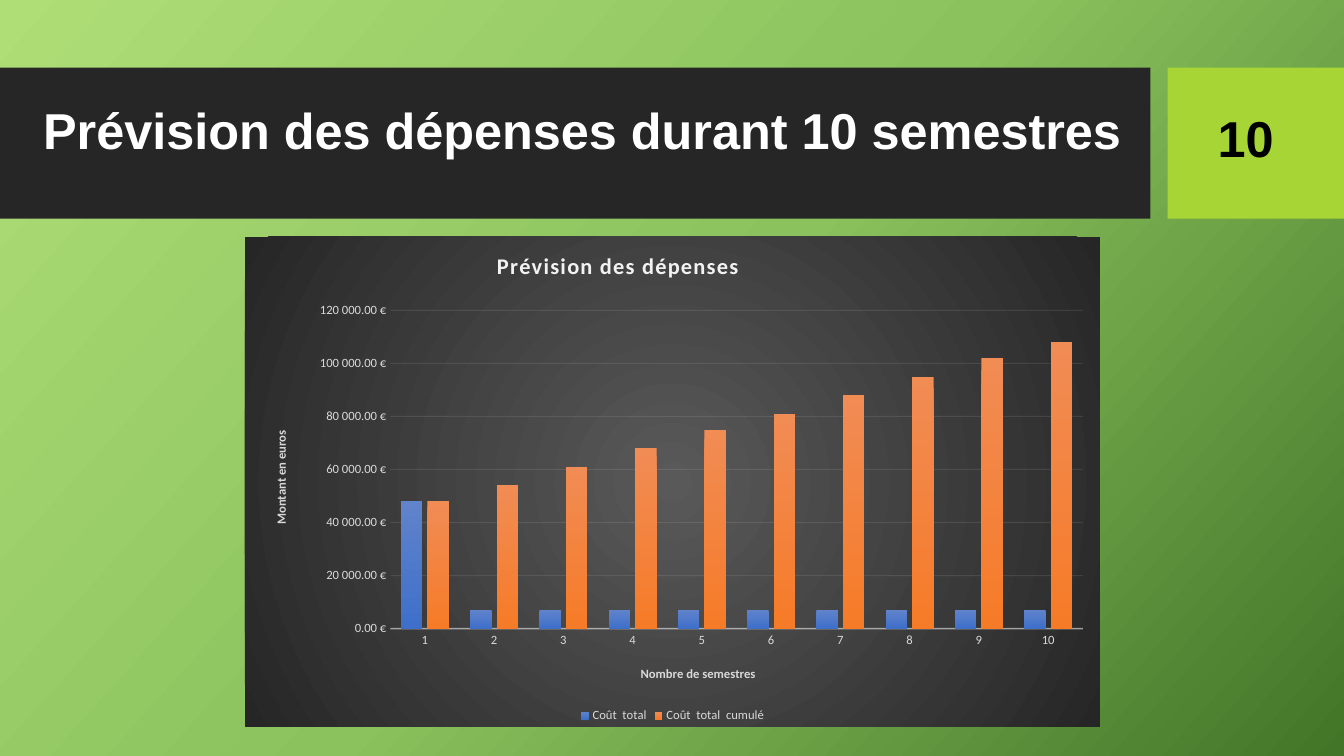
from pptx import Presentation
from pptx.chart.data import CategoryChartData
from pptx.dml.color import RGBColor
from pptx.enum.chart import XL_CHART_TYPE, XL_LEGEND_POSITION, XL_TICK_MARK
from pptx.enum.shapes import MSO_SHAPE
from pptx.enum.text import MSO_ANCHOR, PP_ALIGN
from pptx.oxml import parse_xml
from pptx.oxml.ns import nsdecls, qn
from pptx.util import Inches, Pt

DARK = RGBColor(0x26, 0x26, 0x26)
LIME = RGBColor(0xA7, 0xD5, 0x35)
WHITE = RGBColor(0xFF, 0xFF, 0xFF)
BLACK = RGBColor(0x00, 0x00, 0x00)
PALE = RGBColor(0xF2, 0xF2, 0xF2)
GREY = RGBColor(0xD9, 0xD9, 0xD9)
CHARCOAL = RGBColor(0x59, 0x59, 0x59)
GREENS = [(0, RGBColor(0xAF, 0xDE, 0x77)), (50, RGBColor(0x8B, 0xC2, 0x5D)),
          (100, RGBColor(0x43, 0x75, 0x28))]
BLUES = [(0, RGBColor(0x60, 0x83, 0xCB)), (100, RGBColor(0x3E, 0x70, 0xCA))]
ORANGES = [(0, RGBColor(0xF1, 0x8C, 0x55)), (100, RGBColor(0xF6, 0x7B, 0x28))]

COSTS = [48000] + [7000] * 9
TOTALS = [48000, 54000, 61000, 68000, 75000, 81000, 88000, 95000, 102000, 108000]


def set_gradient(props, stops, angle=None):
    """Fill a properties element: linear at angle, or circular without one."""
    for tag in ("a:noFill", "a:solidFill"):
        for old in props.findall(qn(tag)):
            props.remove(old)
    gs = "".join(f'<a:gs pos="{pos * 1000}"><a:srgbClr val="{color}"/></a:gs>'
                 for pos, color in stops)
    if angle is None:
        shade = ('<a:path path="circle"><a:fillToRect l="50000" t="50000" '
                 'r="50000" b="50000"/></a:path>')
    else:
        shade = f'<a:lin ang="{angle * 60000}" scaled="0"/>'
    props.insert(0, parse_xml(f'<a:gradFill {nsdecls("a")} rotWithShape="1">'
                              f'<a:gsLst>{gs}</a:gsLst>{shade}</a:gradFill>'))


def manual_layout(parent, x, y, w=None, h=None):
    """Place a chart part by fractions of the chart area."""
    for old in parent.findall(qn("c:layout")):
        parent.remove(old)
    target = "" if w is None else '<c:layoutTarget val="inner"/>'
    size = "" if w is None else f'<c:w val="{w}"/><c:h val="{h}"/>'
    layout = parse_xml(
        f'<c:layout {nsdecls("c")}><c:manualLayout>{target}'
        f'<c:xMode val="edge"/><c:yMode val="edge"/><c:x val="{x}"/>'
        f'<c:y val="{y}"/>{size}</c:manualLayout></c:layout>')
    tx = parent.find(qn("c:tx"))
    parent.insert(0 if tx is None else 1, layout)


class SlideBuilder:
    font = "Arial"
    chart_font = "Calibri"

    def __init__(self, prs):
        self.s = prs.slides.add_slide(prs.slide_layouts[6])

    def background(self, stops, angle):
        fill = self.s.background.fill
        fill.solid()
        set_gradient(fill._xPr, stops, angle)

    def block(self, x, y, w, h, color):
        sp = self.s.shapes.add_shape(MSO_SHAPE.RECTANGLE, Inches(x), Inches(y),
                                     Inches(w), Inches(h))
        sp.shadow.inherit = False
        sp.fill.solid()
        sp.fill.fore_color.rgb = color
        sp.line.fill.background()

    def text(self, x, y, w, h, text, color, spacing, align=PP_ALIGN.LEFT):
        sp = self.s.shapes.add_textbox(Inches(x), Inches(y), Inches(w), Inches(h))
        tf = sp.text_frame
        tf.word_wrap = True
        tf.vertical_anchor = MSO_ANCHOR.MIDDLE
        p = tf.paragraphs[0]
        p.text = text
        p.alignment = align
        p.line_spacing = spacing
        self.style(p.font, 36, color, True, self.font)

    def style(self, font, size, color, bold=False, name=chart_font):
        font.name = name
        font.size = Pt(size)
        font.bold = bold
        font.color.rgb = color

    def line(self, line, width, opacity):
        line.width = Pt(width)
        line.color.rgb = PALE
        color = line.fill._xPr.find(".//" + qn("a:srgbClr"))
        color.append(parse_xml(f'<a:alpha {nsdecls("a")} val="{opacity * 1000}"/>'))

    def chart_label(self, title, text, size, color, x, y):
        tf = title.text_frame
        p = tf.paragraphs[0]
        p.text = text
        self.style(p.font, size, color, True)
        manual_layout(title._element, x, y)
        return tf

    def axis(self, axis, title, x, y):
        axis.major_tick_mark = axis.minor_tick_mark = XL_TICK_MARK.NONE
        self.style(axis.tick_labels.font, 9, GREY)
        return self.chart_label(axis.axis_title, title, 9, GREY, x, y)

    def column_chart(self, x, y, w, h, title, categories, series):
        data = CategoryChartData()
        data.categories = categories
        for name, values, _ in series:
            data.add_series(name, values)
        chart = self.s.shapes.add_chart(
            XL_CHART_TYPE.COLUMN_CLUSTERED, Inches(x), Inches(y), Inches(w),
            Inches(h), data).chart
        self.style(chart.font, 10, BLACK)
        area = parse_xml(f'<c:spPr {nsdecls("c", "a")}><a:ln><a:noFill/></a:ln></c:spPr>')
        set_gradient(area, [(0, CHARCOAL), (100, DARK)])
        chart._chartSpace.find(qn("c:txPr")).addprevious(area)

        tf = self.chart_label(chart.chart_title, title, 16, PALE, 0.29, 0.02)
        tf.paragraphs[0].runs[0]._r.get_or_add_rPr().set("spc", "100")
        manual_layout(chart._chartSpace.find(".//" + qn("c:plotArea")),
                      0.17, 0.15, 0.81, 0.65)

        plot = chart.plots[0]
        plot.gap_width = 100
        plot.overlap = -24
        plot.vary_by_categories = False
        for ser, (_, _, stops) in zip(plot.series, series):
            ser.format.fill.solid()
            set_gradient(ser.format.fill._xPr, stops, 90)

        self.axis(chart.category_axis, "Nombre de semestres", 0.46, 0.87)
        self.line(chart.category_axis.format.line, 1, 54)
        values = chart.value_axis
        tf = self.axis(values, "Montant en euros", 0.03, 0.39)
        body = tf._txBody.find(qn("a:bodyPr"))
        body.set("rot", "-5400000")
        body.set("vert", "horz")
        values.minimum_scale, values.maximum_scale, values.major_unit = 0, 120000, 20000
        values.format.line.fill.background()
        self.line(values.major_gridlines.format.line, 0.75, 10)
        values.tick_labels.number_format = '#\\ ##0.00" "[$€-40C]'
        values.tick_labels.number_format_is_linked = False

        chart.has_legend = True
        chart.legend.position = XL_LEGEND_POSITION.BOTTOM
        chart.legend.include_in_layout = False
        self.style(chart.legend.font, 9, GREY)


def main():
    prs = Presentation()
    prs.slide_width, prs.slide_height = Inches(13.33), Inches(7.5)
    slide = SlideBuilder(prs)
    slide.background(GREENS, 42)
    slide.block(0, 0.67, 11.41, 1.5, DARK)
    slide.block(11.58, 0.67, 1.75, 1.5, LIME)
    slide.text(0.33, 0.73, 11.27, 1.18,
               "Prévision des dépenses durant 10 semestres", WHITE, 0.9)
    slide.text(11.77, 1.12, 1.17, 0.59, "10", BLACK, 0.8, PP_ALIGN.CENTER)
    slide.column_chart(2.43, 2.35, 8.48, 4.86, "Prévision des dépenses",
                       [str(n) for n in range(1, 11)],
                       [("Coût  total", COSTS, BLUES),
                        ("Coût  total  cumulé", TOTALS, ORANGES)])
    prs.save("out.pptx")


if __name__ == "__main__":
    main()
